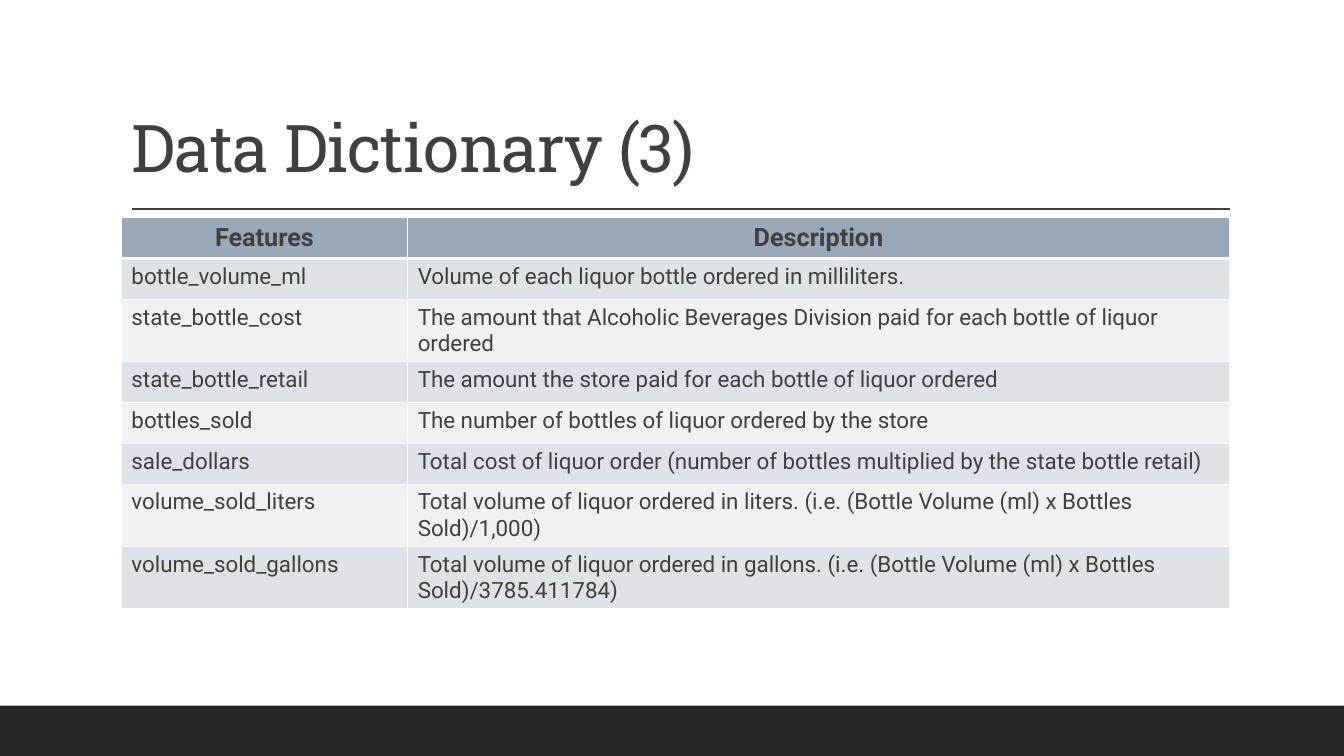
from dataclasses import dataclass

from lxml.etree import SubElement
from pptx import Presentation
from pptx.dml.color import RGBColor
from pptx.enum.shapes import MSO_CONNECTOR, MSO_SHAPE
from pptx.enum.text import MSO_ANCHOR, PP_ALIGN
from pptx.oxml.ns import qn
from pptx.util import Pt


@dataclass(frozen=True)
class Theme:
    ink: str = "404040"
    footer: str = "262626"
    header: str = "9BA8B7"
    bands: tuple = ("DEE1E6", "EFF1F3")
    border: str = "FFFFFF"
    title_font: str = "Roboto Slab"
    body_font: str = "Roboto"
    title_size: int = 47
    header_size: int = 18
    body_size: int = 16


THEME = Theme()
SLIDE_WIDTH, SLIDE_HEIGHT = 960, 540
FOOTER_HEIGHT = 36
LEFT, CONTENT_WIDTH = 86.7, 791.5
COLUMN_WIDTHS = (204.5, 587)
ROW_HEIGHT = 29.2

HEADINGS = ("Features", "Description")
FEATURES = (
    ("bottle_volume_ml", "Volume of each liquor bottle ordered in milliliters."),
    ("state_bottle_cost",
     "The amount that Alcoholic Beverages Division paid for each bottle of liquor ordered"),
    ("state_bottle_retail", "The amount the store paid for each bottle of liquor ordered"),
    ("bottles_sold", "The number of bottles of liquor ordered by the store"),
    ("sale_dollars",
     "Total cost of liquor order (number of bottles multiplied by the state bottle retail)"),
    ("volume_sold_liters",
     "Total volume of liquor ordered in liters. (i.e. (Bottle Volume (ml) x Bottles Sold)/1,000)"),
    ("volume_sold_gallons",
     "Total volume of liquor ordered in gallons. "
     "(i.e. (Bottle Volume (ml) x Bottles Sold)/3785.411784)"),
)


def color(value):
    return RGBColor.from_string(value)


def add_run(paragraph, text, font_name, size, bold=False):
    run = paragraph.add_run()
    run.text = text
    run.font.name = font_name
    run.font.size = Pt(size)
    run.font.bold = bold
    run.font.color.rgb = color(THEME.ink)
    return run


def add_footer_band(slide):
    band = slide.shapes.add_shape(
        MSO_SHAPE.RECTANGLE, Pt(0), Pt(SLIDE_HEIGHT - FOOTER_HEIGHT),
        Pt(SLIDE_WIDTH), Pt(FOOTER_HEIGHT))
    band.shadow.inherit = False
    band.fill.solid()
    band.fill.fore_color.rgb = color(THEME.footer)
    band.line.fill.background()


def add_title_rule(slide):
    rule = slide.shapes.add_connector(
        MSO_CONNECTOR.STRAIGHT, Pt(94.2), Pt(149.4), Pt(878.8), Pt(149.4))
    rule.line.color.rgb = color(THEME.ink)
    rule.line.width = Pt(1)
    SubElement(rule._element.spPr, qn("a:effectLst"))


def format_title(slide, text):
    title = slide.shapes.title
    title.left, title.top = Pt(LEFT), Pt(22.6)
    title.width, title.height = Pt(CONTENT_WIDTH), Pt(114.2)
    frame = title.text_frame
    frame.word_wrap = True
    frame.vertical_anchor = MSO_ANCHOR.BOTTOM
    paragraph = frame.paragraphs[0]
    paragraph.alignment = PP_ALIGN.LEFT
    paragraph.line_spacing = 0.9
    run = add_run(paragraph, text, THEME.title_font, THEME.title_size)
    run.font._element.set("spc", "-50")


def set_borders(cell, top=1, bottom=1):
    properties = cell._tc.get_or_add_tcPr()
    for side, width in (("L", 1), ("R", 1), ("T", top), ("B", bottom)):
        line = SubElement(properties, qn(f"a:ln{side}"), w=str(Pt(width)))
        fill = SubElement(line, qn("a:solidFill"))
        SubElement(fill, qn("a:srgbClr"), val=THEME.border)


def fill_row(table, row, texts):
    is_header = row == 0
    for column, text in enumerate(texts):
        cell = table.cell(row, column)
        # Borders must precede the fill in the cell properties
        set_borders(cell, top=3 if row == 1 else 1, bottom=3 if is_header else 1)
        cell.fill.solid()
        cell.fill.fore_color.rgb = color(
            THEME.header if is_header else THEME.bands[(row - 1) % 2])
        paragraph = cell.text_frame.paragraphs[0]
        paragraph.alignment = PP_ALIGN.CENTER if is_header else PP_ALIGN.LEFT
        size = THEME.header_size if is_header else THEME.body_size
        add_run(paragraph, text, THEME.body_font, size, bold=is_header)


def add_dictionary_table(slide):
    rows = (HEADINGS, *FEATURES)
    table = slide.shapes.add_table(
        len(rows), len(HEADINGS), Pt(LEFT), Pt(155.5),
        Pt(CONTENT_WIDTH), Pt(ROW_HEIGHT * len(rows))).table
    for column, width in zip(table.columns, COLUMN_WIDTHS):
        column.width = Pt(width)
    for index, texts in enumerate(rows):
        table.rows[index].height = Pt(ROW_HEIGHT)
        fill_row(table, index, texts)


def main():
    presentation = Presentation()
    presentation.slide_width = Pt(SLIDE_WIDTH)
    presentation.slide_height = Pt(SLIDE_HEIGHT)
    slide = presentation.slides.add_slide(presentation.slide_layouts[5])

    # Frame of the slide
    add_footer_band(slide)
    add_title_rule(slide)

    # Content
    format_title(slide, "Data Dictionary (3)")
    add_dictionary_table(slide)

    presentation.save("out.pptx")


if __name__ == "__main__":
    main()
